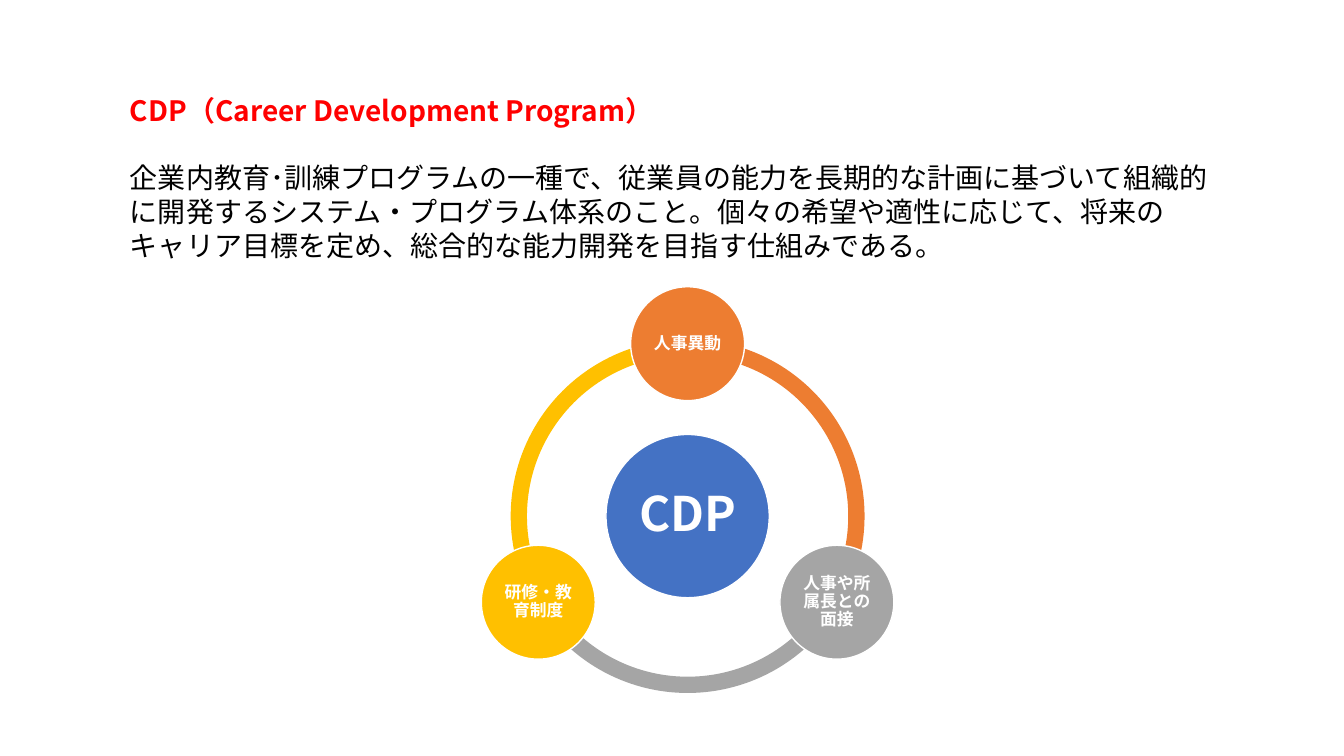
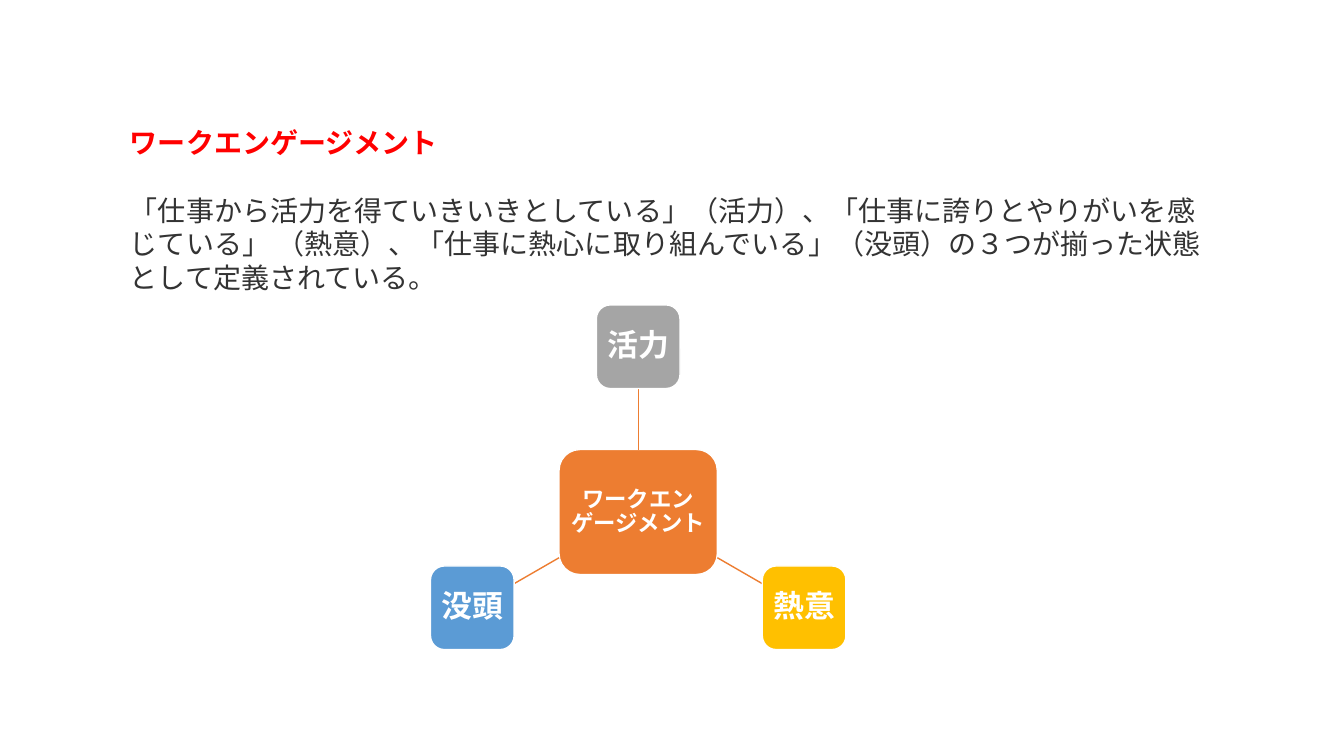
import math
from dataclasses import dataclass

from lxml import etree
from pptx import Presentation
from pptx.dml.color import RGBColor
from pptx.enum.lang import MSO_LANGUAGE_ID
from pptx.enum.shapes import MSO_CONNECTOR, MSO_SHAPE
from pptx.enum.text import MSO_ANCHOR, PP_ALIGN
from pptx.oxml.ns import qn
from pptx.util import Inches, Pt

STRAIGHT = MSO_CONNECTOR.STRAIGHT
ARC, OVAL, ROUNDED = MSO_SHAPE.BLOCK_ARC, MSO_SHAPE.OVAL, MSO_SHAPE.ROUNDED_RECTANGLE
CENTER, LEFT = PP_ALIGN.CENTER, PP_ALIGN.LEFT
MIDDLE = MSO_ANCHOR.MIDDLE
JAPANESE = MSO_LANGUAGE_ID.JAPANESE
TOP_SIDE, BOTTOM_SIDE = 0, 2


@dataclass(frozen=True)
class Theme:
    font: str = "Noto Sans CJK JP"
    heading: str = "FF0000"
    black: str = "000000"
    dark: str = "333333"
    white: str = "FFFFFF"
    blue: str = "4472C4"
    light_blue: str = "5B9BD5"
    orange: str = "ED7D31"
    gray: str = "A5A5A5"
    yellow: str = "FFC000"
    body_size: int = 20
    cdp_size: int = 34
    ring_size: int = 12
    hub_size: int = 16
    spoke_size: int = 22
    line_width: int = 1


T = Theme()


@dataclass(frozen=True)
class Node:
    """A labelled shape, placed by its centre."""
    text: str
    color: str
    size: int
    x: float
    y: float
    w: float
    h: float
    margin: float


@dataclass(frozen=True)
class Satellite:
    """A node placed around a centre; angles run clockwise from the right."""
    text: str
    color: str
    angle: int
    radius: float

    def node(self, cx: float, cy: float, side: float, size: int, margin: float) -> Node:
        a = math.radians(self.angle)
        x, y = cx + self.radius * math.cos(a), cy + self.radius * math.sin(a)
        return Node(self.text, self.color, size, x, y, side, side, margin)


def rgb(color: str) -> RGBColor:
    return RGBColor.from_string(color)


def write(p, text: str, *, size: int, color: str, bold: bool = False,
          align=LEFT, spacing: float = 1.0, before: int = 0) -> None:
    p.alignment, p.line_spacing, p.space_before = align, spacing, Pt(before)
    r = p.add_run()
    r.text = text
    font = r.font
    font.name, font.size, font.bold = T.font, Pt(size), bold
    font.language_id = JAPANESE
    font.color.rgb = rgb(color)
    latin = r._r.get_or_add_rPr().find(qn("a:latin"))
    east_asian = etree.Element(qn("a:ea"), typeface=T.font)
    latin.addnext(east_asian)


def add_definition(s, top: float, heading: str, body: str, color: str) -> None:
    tf = s.shapes.add_textbox(Inches(1.19), Inches(top), Inches(10.95), Inches(1.78)).text_frame
    tf.word_wrap = True
    write(tf.paragraphs[0], heading, size=T.body_size, color=T.heading, bold=True)
    write(tf.add_paragraph(), body, size=T.body_size, color=color, before=24)


def add_shape(s, kind, cx: float, cy: float, w: float, h: float, color: str):
    sp = s.shapes.add_shape(kind, Inches(cx - w / 2), Inches(cy - h / 2), Inches(w), Inches(h))
    sp.shadow.inherit = False
    sp.fill.solid()
    sp.fill.fore_color.rgb = rgb(color)
    sp.line.fill.background()
    return sp


def add_node(s, kind, node: Node):
    sp = add_shape(s, kind, node.x, node.y, node.w, node.h, node.color)
    sp.line.color.rgb = rgb(T.white)
    sp.line.width = Pt(T.line_width)
    tf = sp.text_frame
    tf.word_wrap, tf.vertical_anchor = True, MIDDLE
    tf.margin_left = tf.margin_right = tf.margin_top = tf.margin_bottom = Inches(node.margin)
    write(tf.paragraphs[0], node.text, size=node.size, color=T.white, bold=True,
          align=CENTER, spacing=0.9)
    return sp


def add_arc(s, cx: float, cy: float, diameter: float, start: int, end: int, color: str) -> None:
    sp = add_shape(s, ARC, cx, cy, diameter, diameter, color)
    # Angles are stored in 60000ths of a degree, adjustments in 100000ths
    sp.adjustments[0], sp.adjustments[1] = start * 0.6, end * 0.6
    sp.adjustments[2] = 0.046


def edge_point(node: Node, dx: float, dy: float) -> tuple[float, float]:
    """Where a ray from the node's centre leaves its bounding rectangle."""
    t = 1 / max(abs(dx) / (node.w / 2), abs(dy) / (node.h / 2))
    return node.x + dx * t, node.y + dy * t


def add_spoke(s, hub: Node, outer: Node):
    dx, dy = outer.x - hub.x, outer.y - hub.y
    ends = (*edge_point(hub, dx, dy), *edge_point(outer, -dx, -dy))
    line = s.shapes.add_connector(STRAIGHT, *(Inches(v) for v in ends))
    line.line.color.rgb = rgb(T.orange)
    line.line.width = Pt(T.line_width)
    etree.SubElement(line._element.spPr, qn("a:effectLst"))
    return line


def build_cdp(s) -> None:
    add_definition(
        s, 0.88, "CDP（Career Development Program）",
        "企業内教育･訓練プログラムの一種で、従業員の能力を長期的な計画に基づいて組織的に開発する"
        "システム・プログラム体系のこと。個々の希望や適性に応じて、将来のキャリア目標を定め、"
        "総合的な能力開発を目指す仕組みである。", T.black)
    cx, cy, radius = 6.82, 5.12, 1.71
    ring = [
        Satellite("人事異動", T.orange, 270, radius),
        Satellite("人事や所属長との面接", T.gray, 30, radius),
        Satellite("研修・教育制度", T.yellow, 150, radius),
    ]
    for item in ring:
        add_arc(s, cx, cy, 3.51, item.angle, (item.angle + 120) % 360, item.color)
    add_node(s, OVAL, Node("CDP", T.blue, T.cdp_size, cx, cy, 1.62, 1.62, 0.05))
    for item in ring:
        add_node(s, OVAL, item.node(cx, cy, 1.13, T.ring_size, 0.02))


def build_engagement(s) -> None:
    add_definition(
        s, 1.2, "ワークエンゲージメント",
        "「仕事から活力を得ていきいきとしている」（活力）、「仕事に誇りとやりがいを感じている」 "
        "（熱意）、「仕事に熱心に取り組んでいる」（没頭）の３つが揃った状態として定義されている。",
        T.dark)
    hub = Node("ワークエンゲージメント", T.orange, T.hub_size, 6.33, 5.08, 1.57, 1.24, 0.04)
    hub_shape = add_node(s, ROUNDED, hub)
    for item in (
        Satellite("活力", T.gray, 270, 1.64),
        Satellite("熱意", T.yellow, 30, 1.9),
        Satellite("没頭", T.light_blue, 150, 1.9),
    ):
        outer = item.node(hub.x, hub.y, 0.83, T.spoke_size, 0.06)
        line = add_spoke(s, hub, outer)
        outer_shape = add_node(s, ROUNDED, outer)
        if item.angle == 270:
            line.begin_connect(hub_shape, TOP_SIDE)
            line.end_connect(outer_shape, BOTTOM_SIDE)


def main() -> None:
    prs = Presentation()
    prs.slide_width, prs.slide_height = Inches(13.33), Inches(7.5)
    for build in (build_cdp, build_engagement):
        build(prs.slides.add_slide(prs.slide_layouts[6]))
    prs.save("out.pptx")


if __name__ == "__main__":
    main()
